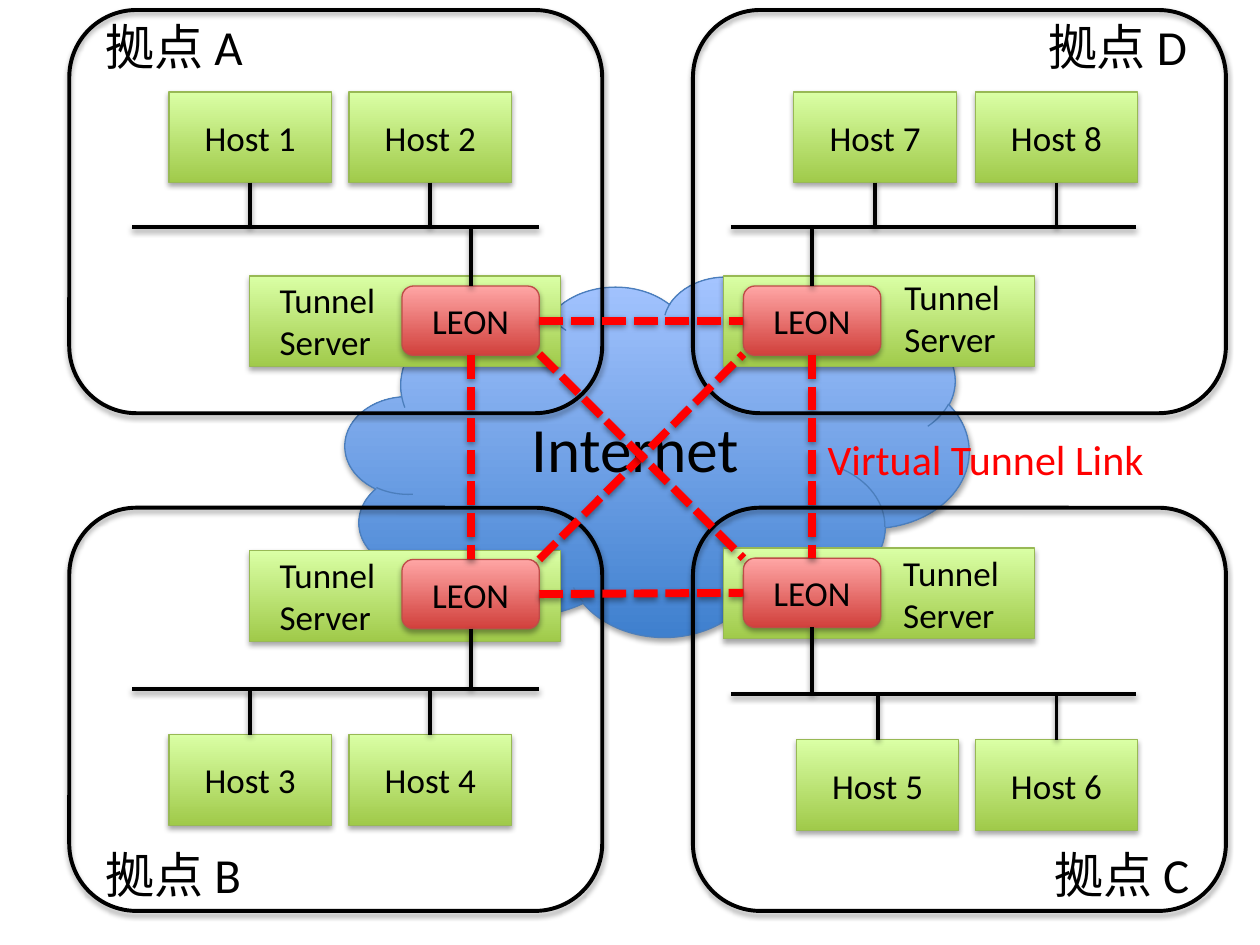
from dataclasses import dataclass
from typing import NamedTuple

import pptx
import pptx.dml.color
import pptx.enum.dml
import pptx.enum.shapes
import pptx.enum.text
import pptx.oxml
import pptx.oxml.ns
import pptx.util

KIND = pptx.enum.shapes.MSO_SHAPE
ALIGN = pptx.enum.text.PP_ALIGN
TOP, LEFT, BOTTOM, RIGHT = range(4)
CELL = pptx.util.Inches(0.1)  # the slide is 100 columns by 75 rows
COLS, ROWS = 100, 75
BLACK, RED = "000000", "FF0000"


class Look(NamedTuple):
    low: str
    high: str
    edge: str


BLUE = Look("3F80CE", "A4C4FF", "4B7EBC")
GREEN = Look("A0CA4A", "DAFFA5", "98B955")
ROSE = Look("D1403C", "FFA6A5", "BF4C48")


class Spot(NamedTuple):
    x: float
    y: float


class Area(NamedTuple):
    x: float
    y: float
    w: float
    h: float


class Pin(NamedTuple):
    """The middle of one side of a shape."""
    shape: object
    side: int


@dataclass
class Site:
    name: str
    frame: Spot
    label: Spot
    server: Spot
    leon: Spot
    note: Spot
    bus: Area
    hosts: dict[int, Spot]
    upper: bool


SITES = [
    Site("A", Spot(5.5, 0.8), Spot(7.4, 0.8), Spot(19.8, 21.9), Spot(31.9, 22.7),
         Spot(21.2, 21.6), Area(10.5, 18, 32.3, 0),
         {2: Spot(27.7, 7.3), 1: Spot(13.4, 7.3)}, True),
    Site("B", Spot(5.5, 40.3), Spot(7.4, 66.5), Spot(19.8, 43.7), Spot(31.9, 44.4),
         Spot(21.2, 43.4), Area(10.5, 54.7, 32.3, 0),
         {4: Spot(27.7, 58.3), 3: Spot(13.4, 58.3)}, False),
    Site("C", Spot(55, 40.3), Spot(82.7, 66.5), Spot(57.4, 43.5), Spot(59, 44.3),
         Spot(70.7, 43.3), Area(58, 55.1, 32.2, 0),
         {6: Spot(77.4, 58.7), 5: Spot(63.2, 58.7)}, False),
    Site("D", Spot(55, 0.8), Spot(82.2, 0.8), Spot(57.4, 21.9), Spot(59, 22.7),
         Spot(70.8, 21.4), Area(58, 18, 32.2, 0),
         {8: Spot(77.4, 7.3), 7: Spot(63, 7.3)}, True),
]


def emu(cells: float) -> int:
    return round(cells * CELL)


def tint(code: str):
    return pptx.dml.color.RGBColor.from_string(code)


def shade(item, dist: int, alpha: int) -> None:
    """Put a soft shadow below a shape or line."""
    props = item._element.spPr
    for old in props.findall(pptx.oxml.ns.qn("a:effectLst")):
        props.remove(old)
    props.append(pptx.oxml.parse_xml(
        f'<a:effectLst {pptx.oxml.ns.nsdecls("a")}>'
        f'<a:outerShdw blurRad="40000" dist="{dist}" dir="5400000" rotWithShape="0">'
        f'<a:srgbClr val="{BLACK}"><a:alpha val="{alpha}000"/></a:srgbClr>'
        '</a:outerShdw></a:effectLst>'))


def write(shape, text: str, size: int, align=ALIGN.LEFT, color: str = BLACK) -> None:
    para = shape.text_frame.paragraphs[0]
    para.alignment = align
    run = para.add_run()
    run.text = text
    run.font.size = pptx.util.Pt(size)
    run.font.name = "Calibri"
    run.font.color.rgb = tint(color)


def block(slide, kind, area: Area, look: Look | None = None,
          text: str = "", size: int = 20):
    """Draw a shaded shape; one without a look is an open black frame."""
    shape = slide.shapes.add_shape(kind, *map(emu, area))
    if look:
        shape.fill.gradient()
        shape.fill.gradient_angle = 90
        for stop, code in zip(shape.fill.gradient_stops, (look.low, look.high)):
            stop.color.rgb = tint(code)
    else:
        shape.fill.background()
    shape.line.color.rgb = tint(look.edge if look else BLACK)
    shape.line.width = pptx.util.Pt(0.75 if look else 2.25)
    shape.shadow.inherit = False
    shade(shape, 23000, 35)
    if text:
        shape.text_frame.vertical_anchor = pptx.enum.text.MSO_ANCHOR.MIDDLE
        write(shape, text, size, ALIGN.CENTER)
    return shape


def label(slide, area: Area, text: str, size: int, color: str = BLACK) -> None:
    box = slide.shapes.add_textbox(*map(emu, area))
    box.text_frame.word_wrap = True
    box.text_frame.auto_size = pptx.enum.text.MSO_AUTO_SIZE.SHAPE_TO_FIT_TEXT
    write(box, text, size, color=color)


def wire(slide, start: Spot | Pin, end: Spot | Pin, tunnel: bool = False) -> None:
    ends = [Spot(0, 0) if isinstance(tip, Pin) else tip for tip in (start, end)]
    line = slide.shapes.add_connector(
        pptx.enum.shapes.MSO_CONNECTOR.STRAIGHT,
        *(emu(value) for spot in ends for value in spot))
    if isinstance(start, Pin):
        line.begin_connect(start.shape, start.side)
    if isinstance(end, Pin):
        line.end_connect(end.shape, end.side)
    line.line.color.rgb = tint(RED if tunnel else BLACK)
    line.line.width = pptx.util.Pt(4.5 if tunnel else 2.25)
    if tunnel:
        line.line.dash_style = pptx.enum.dml.MSO_LINE.SQUARE_DOT
    shade(line, 20000, 38)


def draw(slide, site: Site):
    """Draw one site and return its LEON box."""
    block(slide, KIND.ROUNDED_RECTANGLE, Area(*site.frame, 42.3, 32))
    label(slide, Area(*site.label, 14.7, 5.7), f"拠点 {site.name}", 28)
    block(slide, KIND.RECTANGLE, Area(*site.server, 24.7, 7.2), GREEN)
    leon = block(slide, KIND.ROUNDED_RECTANGLE, Area(*site.leon, 10.9, 5.5),
                 ROSE, "LEON")
    label(slide, Area(*site.note, 13.9, 7.7), "Tunnel Server", 20)
    bus = site.bus
    wire(slide, Pin(leon, TOP if site.upper else BOTTOM),
         Spot(site.leon.x + 5.45, bus.y))
    wire(slide, Spot(bus.x, bus.y), Spot(bus.x + bus.w, bus.y))
    for number, spot in site.hosts.items():
        host = block(slide, KIND.RECTANGLE, Area(*spot, 12.9, 7.2),
                     GREEN, f"Host {number}")
        wire(slide, Pin(host, BOTTOM if site.upper else TOP),
             Spot(spot.x + 6.45, bus.y))
    return leon


def main() -> None:
    deck = pptx.Presentation()
    deck.slide_width, deck.slide_height = emu(COLS), emu(ROWS)
    slide = deck.slides.add_slide(deck.slide_layouts[6])
    block(slide, KIND.CLOUD, Area(27.4, 21.9, 49.5, 28.6), BLUE, "Internet", 36)
    a, b, c, d = [draw(slide, site) for site in SITES]
    links = [
        (Pin(d, BOTTOM), Pin(c, TOP)),
        (Pin(b, RIGHT), Pin(c, LEFT)),
        (Pin(a, BOTTOM), Pin(b, TOP)),
        (Pin(a, RIGHT), Pin(d, LEFT)),
        (Spot(42.8, 44.4), Spot(59, 28.1)),
        (Spot(42.8, 28.1), Spot(59, 44.3)),
    ]
    for start, end in links:
        wire(slide, start, end, tunnel=True)
    label(slide, Area(64.7, 33.9, 31.1, 5), "Virtual Tunnel Link", 24, RED)
    deck.save("out.pptx")


if __name__ == "__main__":
    main()
